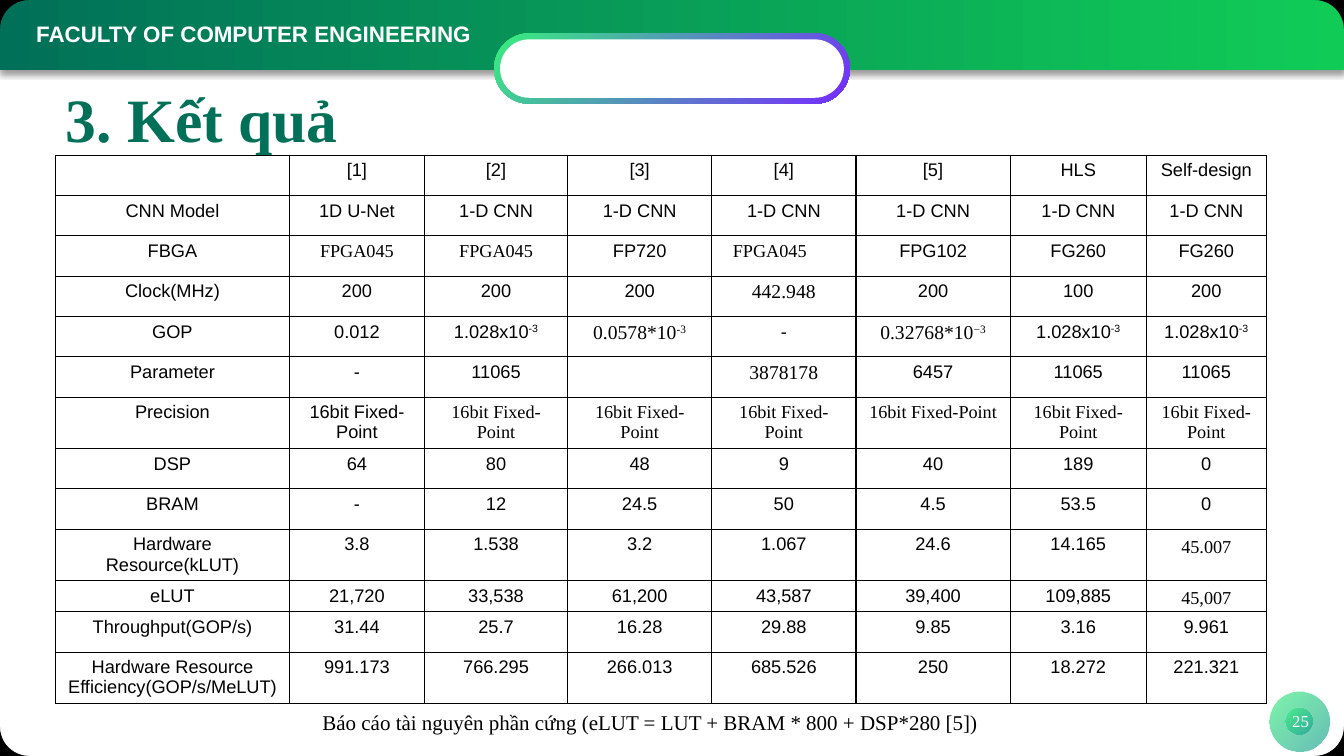
import math

from lxml import etree
from pptx import Presentation
from pptx import util as u
from pptx.dml.color import RGBColor
from pptx.enum import shapes, text
from pptx.oxml import ns

BLACK = RGBColor(0x00, 0x00, 0x00)
WHITE = RGBColor(0xFF, 0xFF, 0xFF)
DARK_GREEN = RGBColor(0x01, 0x70, 0x58)
BRIGHT_GREEN = RGBColor(0x10, 0xCC, 0x57)
MINT = RGBColor(0x38, 0xEF, 0x7D)
TEAL = RGBColor(0x11, 0x99, 0x8E)
PURPLE = RGBColor(0x75, 0x2A, 0xFF)
SANS, SERIF = "Arial", "Times New Roman"
WIDTH, HEIGHT = 13.33, 7.5

COLUMN_WIDTHS = [2.32, 1.34, 1.42, 1.43, 1.43, 1.53, 1.35, 1.19]
SINGLE_LINE, DOUBLE_LINE, COMPACT = 0.4, 0.51, 0.31
ROW_HEIGHTS = [SINGLE_LINE] * 6 + [DOUBLE_LINE, SINGLE_LINE, SINGLE_LINE,
                                   DOUBLE_LINE, COMPACT, SINGLE_LINE, DOUBLE_LINE]
RESULTS = [
    ["", "[1]", "[2]", "[3]", "[4]", "[5]", "HLS", "Self-design"],
    ["CNN Model", "1D U-Net"] + ["1-D CNN"] * 6,
    ["FBGA", "FPGA045", "FPGA045", "FP720", "FPGA045", "FPG102", "FG260", "FG260"],
    ["Clock(MHz)", "200", "200", "200", "442.948", "200", "100", "200"],
    ["GOP", "0.012", "1.028x10^-3", "0.0578*10^-3", "-", "0.32768*10^−3",
     "1.028x10^-3", "1.028x10^-3"],
    ["Parameter", "-", "11065", "", "3878178", "6457", "11065", "11065"],
    ["Precision"] + ["16bit Fixed-Point"] * 7,
    ["DSP", "64", "80", "48", "9", "40", "189", "0"],
    ["BRAM", "-", "12", "24.5", "50", "4.5", "53.5", "0"],
    ["Hardware Resource(kLUT)", "3.8", "1.538", "3.2", "1.067", "24.6", "14.165", "45.007"],
    ["eLUT", "21,720", "33,538", "61,200", "43,587", "39,400", "109,885", "45,007"],
    ["Throughput(GOP/s)", "31.44", "25.7", "16.28", "29.88", "9.85", "3.16", "9.961"],
    ["Hardware Resource Efficiency(GOP/s/MeLUT)", "991.173", "766.295", "266.013",
     "685.526", "250", "18.272", "221.321"],
]
SPACED_CELLS = {(9, 7), (10, 7)}
SERIF_CELLS = {(2, 1), (2, 2), (2, 4)} | {(6, column) for column in range(2, 8)} | SPACED_CELLS
LARGE_SERIF_CELLS = {(3, 4), (4, 3), (4, 5), (5, 4)}


def write(frame, content, size, font=SERIF, color=BLACK, bold=False,
          align=None, line_spacing=None):
    """Write one formatted paragraph; what follows ^ is superscript."""
    paragraph = frame.paragraphs[0]
    paragraph.alignment = align
    paragraph.line_spacing = line_spacing
    for index, part in enumerate(content.split("^")):
        run = paragraph.add_run()
        run.text = part
        run.font.size = u.Pt(size)
        run.font.name = font
        run.font.bold = bold
        run.font.color.rgb = color
        if index:
            run.font._element.set("baseline", "30000")


def add_label(slide, box, content, **style):
    """Add a wrapping, vertically centred text box."""
    shape = slide.shapes.add_textbox(*map(u.Inches, box))
    shape.text_frame.word_wrap = True
    shape.text_frame.vertical_anchor = text.MSO_ANCHOR.MIDDLE
    write(shape.text_frame, content, **style)


def add_panel(slide, kind, box, colors, angle=0, alphas=()):
    """Add a borderless shape with a plain or gradient fill."""
    shape = slide.shapes.add_shape(kind, *map(u.Inches, box))
    shape.shadow.inherit = False
    shape.line.fill.background()
    if len(colors) == 1:
        shape.fill.solid()
        shape.fill.fore_color.rgb = colors[0]
        return shape
    shape.fill.gradient()
    shape.fill.gradient_angle = angle
    for stop, color in zip(shape.fill.gradient_stops, colors):
        stop.color.rgb = color
    for node, alpha in zip(shape._element.spPr.iter(ns.qn("a:srgbClr")), alphas):
        etree.SubElement(node, ns.qn("a:alpha"), val=str(alpha * 1000))
    return shape


def add_drop_shadow(shape):
    """Give a shape a soft shadow falling straight down."""
    effects = shape._element.spPr.find(ns.qn("a:effectLst"))
    shadow = etree.SubElement(effects, ns.qn("a:outerShdw"), blurRad=str(u.Pt(4)),
                              dist=str(u.Pt(3)), dir="5400000", rotWithShape="0")
    color = etree.SubElement(shadow, ns.qn("a:srgbClr"), val=str(BLACK))
    etree.SubElement(color, ns.qn("a:alpha"), val="40000")


def add_rounded_corners(slide, radius=0.29, steps=12):
    """Cover the four slide corners outside a rounded outline."""
    builder = None
    for x, side in ((0, 1), (WIDTH, -1)):
        for y, down in ((0, 1), (HEIGHT, -1)):
            turns = [math.pi / 2 * step / steps for step in range(steps + 1)]
            arc = [(u.Inches(x + side * radius * (1 - math.cos(turn))),
                    u.Inches(y + down * radius * (1 - math.sin(turn)))) for turn in turns]
            corner = u.Inches(x), u.Inches(y)
            if builder is None:
                builder = slide.shapes.build_freeform(*corner)
            else:
                builder.move_to(*corner)
            builder.add_line_segments(arc, close=True)
    shape = builder.convert_to_shape()
    shape.shadow.inherit = False
    shape.fill.solid()
    shape.fill.fore_color.rgb = BLACK
    shape.line.fill.background()


def set_borders(cell):
    """Draw a thin black line on every side of a cell."""
    properties = cell._tc.get_or_add_tcPr()
    for index, side in enumerate(("a:lnL", "a:lnR", "a:lnT", "a:lnB")):
        line = etree.Element(ns.qn(side), w=str(u.Pt(1)))
        fill = etree.SubElement(line, ns.qn("a:solidFill"))
        etree.SubElement(fill, ns.qn("a:srgbClr"), val=str(BLACK))
        properties.insert(index, line)


def fill_cell(cell, position, content):
    """Format one result cell and write its value."""
    cell.fill.background()
    set_borders(cell)
    cell.margin_bottom = u.Inches(0.02)
    style = {"size": 13, "font": SANS, "align": text.PP_ALIGN.CENTER}
    if position in SERIF_CELLS | LARGE_SERIF_CELLS:
        style["font"] = SERIF
    if position in LARGE_SERIF_CELLS:
        style["size"] = 14
    if position in SPACED_CELLS:
        style["line_spacing"] = 1.4
        cell.margin_left = cell.margin_right = u.Inches(0.07)
        cell.margin_top = cell.margin_bottom = 0
    if position == (2, 4):
        cell.margin_right = u.Inches(0.38)
    if content:
        write(cell.text_frame, content, **style)


def add_results(slide):
    """Add the comparison table."""
    box = map(u.Inches, (0.55, 1.54, sum(COLUMN_WIDTHS), sum(ROW_HEIGHTS)))
    table = slide.shapes.add_table(len(RESULTS), len(COLUMN_WIDTHS), *box).table
    table.first_row = table.horz_banding = False
    for column, width in zip(table.columns, COLUMN_WIDTHS):
        column.width = u.Inches(width)
    for row_index, (row, height) in enumerate(zip(table.rows, ROW_HEIGHTS)):
        row.height = u.Inches(height)
        for column_index, content in enumerate(RESULTS[row_index]):
            position = row_index, column_index
            fill_cell(table.cell(*position), position, content)


def add_title(slide, content):
    """Place and format the slide title."""
    title = slide.shapes.title
    title.left, title.top, title.width, title.height = map(u.Inches, (0.55, 0.73, 12.01, 0.97))
    title.text_frame.vertical_anchor = text.MSO_ANCHOR.MIDDLE
    write(title.text_frame, content, size=44, color=DARK_GREEN, bold=True,
          align=text.PP_ALIGN.LEFT, line_spacing=0.9)


def main():
    """Build the results slide."""
    presentation = Presentation()
    presentation.slide_width, presentation.slide_height = u.Inches(WIDTH), u.Inches(HEIGHT)
    slide = presentation.slides.add_slide(presentation.slide_layouts[5])
    kinds = shapes.MSO_SHAPE
    banner = add_panel(slide, kinds.RECTANGLE, (0, 0, WIDTH, 0.69), (DARK_GREEN, BRIGHT_GREEN))
    add_drop_shadow(banner)
    add_label(slide, (0.26, 0.15, 8.11, 0.37), "FACULTY OF COMPUTER ENGINEERING",
              size=16, font=SANS, color=WHITE, bold=True)
    for box, colors in (((4.9, 0.33, 3.53, 0.7), (MINT, PURPLE)),
                        ((4.96, 0.39, 3.41, 0.58), (WHITE,))):
        pill = add_panel(slide, kinds.ROUNDED_RECTANGLE, box, colors, angle=315)
        pill.adjustments[0] = 0.5
    for box in ((12.59, 6.86, 0.6, 0.6), (12.75, 7.02, 0.27, 0.27)):
        add_panel(slide, kinds.OVAL, box, (MINT, TEAL), angle=315, alphas=(65, 64))
    add_rounded_corners(slide)
    add_title(slide, "3. Kết quả")
    add_label(slide, (12.6, 6.95, 0.6, 0.4), "25", size=12, color=WHITE,
              align=text.PP_ALIGN.CENTER)
    add_results(slide)
    add_label(slide, (3.1, 7.01, 7.14, 0.34),
              "Báo cáo tài nguyên phần cứng (eLUT = LUT + BRAM * 800 + DSP*280 [5])",
              size=15, line_spacing=0.9)
    presentation.save("out.pptx")


if __name__ == "__main__":
    main()
